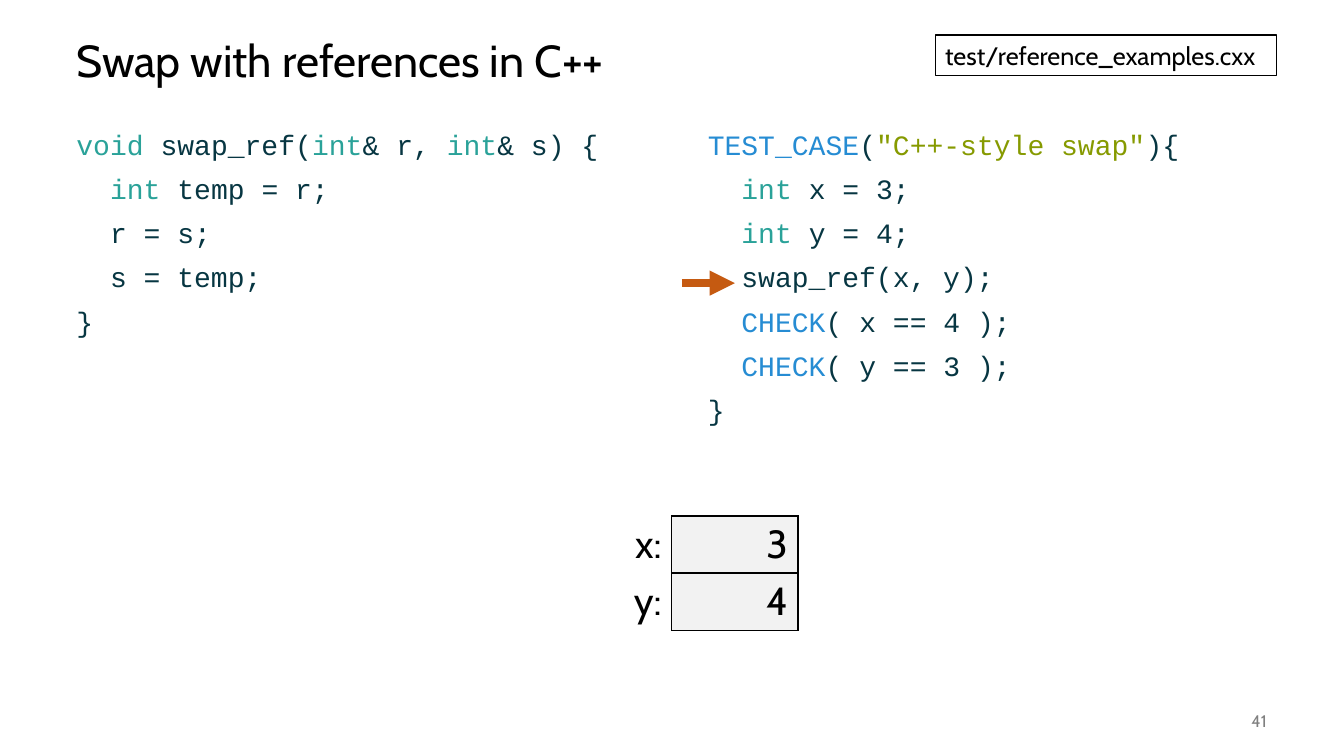
from lxml import etree
from pptx import Presentation
from pptx import util as u
from pptx.dml.color import RGBColor
from pptx.enum import shapes, text
from pptx.oxml import ns

BLACK = RGBColor(0x00, 0x00, 0x00)
GRAY = RGBColor(0x80, 0x80, 0x80)
CELL = RGBColor(0xF2, 0xF2, 0xF2)
ORANGE = RGBColor(0xC5, 0x5A, 0x11)
TYPE = RGBColor(0x2A, 0xA2, 0x99)
PLAIN = RGBColor(0x07, 0x36, 0x42)
MACRO = RGBColor(0x26, 0x8C, 0xD3)
STRING = RGBColor(0x86, 0x9A, 0x00)


def add_span(para, words, size, color, font="Cabin"):
    span = para.add_run()
    span.text = words
    span.font.size = u.Pt(size)
    span.font.name = font
    span.font.color.rgb = color


def add_box(left, top, width, height, anchor=text.MSO_ANCHOR.TOP):
    box = page.shapes.add_textbox(u.Pt(left), u.Pt(top), u.Pt(width), u.Pt(height))
    box.text_frame.word_wrap = True
    box.text_frame.vertical_anchor = anchor
    return box


deck = Presentation()
deck.slide_width = u.Pt(960)
deck.slide_height = u.Pt(540)
page = deck.slides.add_slide(deck.slide_layouts[6])

title = add_box(47.5, 18, 864, 54, text.MSO_ANCHOR.MIDDLE).text_frame.paragraphs[0]
title.line_spacing = 0.9
add_span(title, "Swap with references in C++", 32, BLACK)

swap_code = [
    [("void ", TYPE), ("swap_ref(", PLAIN), ("int", TYPE), ("& r, ", PLAIN),
     ("int", TYPE), ("& s) {", PLAIN)],
    [("  int ", TYPE), ("temp = r;", PLAIN)],
    [("  r = s;", PLAIN)],
    [("  s = temp;", PLAIN)],
    [("}", PLAIN)],
]
test_code = [
    [("TEST_CASE", MACRO), ("(", PLAIN), ("\"C++‑style swap\"", STRING), ("){", PLAIN)],
    [("  int ", TYPE), ("x = 3;", PLAIN)],
    [("  int ", TYPE), ("y = 4;", PLAIN)],
    [("  swap_ref(x, y);", PLAIN)],
    [("  CHECK", MACRO), ("( x == 4 );", PLAIN)],
    [("  CHECK", MACRO), ("( y == 3 );", PLAIN)],
    [("}", PLAIN)],
]
for left, code in ((47.5, swap_code), (498.5, test_code)):
    frame = add_box(left, 90, 414, 396).text_frame
    for index, line in enumerate(code):
        para = frame.add_paragraph() if index else frame.paragraphs[0]
        para.line_spacing = 0.9
        para.space_before = u.Pt(10 if index else 0)
        for words, color in line:
            add_span(para, words, 20, color, "Courier New")

number = add_box(840, 500.5, 72, 28.75, text.MSO_ANCHOR.MIDDLE).text_frame.paragraphs[0]
number.alignment = text.PP_ALIGN.RIGHT
add_span(number, "41", 12, GRAY)

table = page.shapes.add_table(2, 2, u.Pt(389.5), u.Pt(368.5), u.Pt(180.5), u.Pt(81.4)).table
table.first_row = False
table.horz_banding = False
for row, values in enumerate((("x:", "3"), ("y:", "4"))):
    for column, value in enumerate(values):
        cell = table.cell(row, column)
        para = cell.text_frame.paragraphs[0]
        para.alignment = text.PP_ALIGN.RIGHT
        add_span(para, value, 28, BLACK)
        properties = cell._tc.get_or_add_tcPr()
        for side in (("lnL", "lnR", "lnT", "lnB") if column else ("lnR",)):
            border = etree.SubElement(properties, ns.qn("a:" + side), w=str(u.Pt(1)))
            paint = etree.SubElement(border, ns.qn("a:solidFill"))
            etree.SubElement(paint, ns.qn("a:srgbClr"), val=str(BLACK))
        if column:
            cell.fill.solid()
            cell.fill.fore_color.rgb = CELL
        else:
            cell.fill.background()

arrow = page.shapes.add_connector(
    shapes.MSO_CONNECTOR.STRAIGHT, u.Pt(487), u.Pt(202.25), u.Pt(525), u.Pt(202.25))
arrow.line.color.rgb = ORANGE
arrow.line.width = u.Pt(6)
etree.SubElement(arrow.line._get_or_add_ln(), ns.qn("a:tailEnd"), type="triangle")
etree.SubElement(arrow._element.spPr, ns.qn("a:effectLst"))

file_label = page.shapes.add_shape(
    shapes.MSO_SHAPE.RECTANGLE, u.Pt(668), u.Pt(25), u.Pt(244), u.Pt(29))
file_label.shadow.inherit = False
file_label.fill.background()
file_label.line.color.rgb = BLACK
file_label.line.width = u.Pt(0.75)
frame = file_label.text_frame
frame.word_wrap = True
frame.auto_size = text.MSO_AUTO_SIZE.SHAPE_TO_FIT_TEXT
frame.vertical_anchor = text.MSO_ANCHOR.TOP
frame.paragraphs[0].alignment = text.PP_ALIGN.LEFT
add_span(frame.paragraphs[0], "test/reference_examples.cxx", 18, BLACK)

deck.save("out.pptx")
